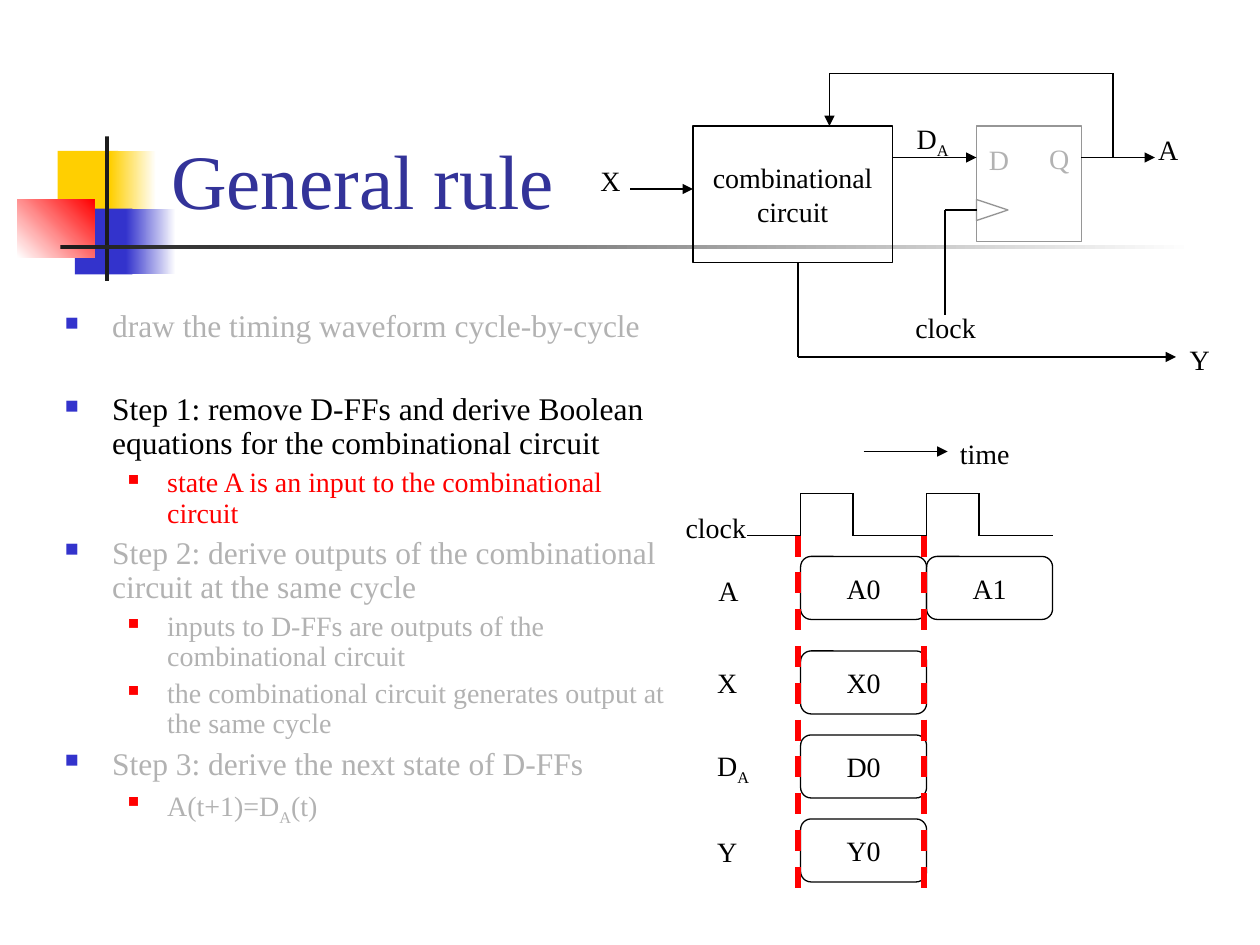
from lxml import etree
from pptx import Presentation
from pptx.dml.color import RGBColor
from pptx.enum.dml import MSO_LINE
from pptx.enum.shapes import MSO_CONNECTOR, MSO_SHAPE
from pptx.enum.text import MSO_ANCHOR, MSO_AUTO_SIZE, PP_ALIGN
from pptx.oxml.ns import qn
from pptx.util import Pt

EMU_PER_PX = 9525
FONT = "Times New Roman"
BLACK = RGBColor(0x00, 0x00, 0x00)
WHITE = RGBColor(0xFF, 0xFF, 0xFF)
RED = RGBColor(0xFF, 0x00, 0x00)
BLUE = RGBColor(0x33, 0x33, 0xCC)
YELLOW = RGBColor(0xFF, 0xCF, 0x01)
CHARCOAL = RGBColor(0x1C, 0x1C, 0x1C)
TITLE_BLUE = RGBColor(0x33, 0x33, 0x99)
FADED = RGBColor(0xB2, 0xB2, 0xB2)
GRAY_LINE = RGBColor(0x96, 0x96, 0x96)

RECTANGLE = MSO_SHAPE.RECTANGLE
ROUNDED = MSO_SHAPE.ROUNDED_RECTANGLE
TRIANGLE = MSO_SHAPE.ISOSCELES_TRIANGLE
STRAIGHT = MSO_CONNECTOR.STRAIGHT
DASH = MSO_LINE.DASH
TOP, MIDDLE, BOTTOM = MSO_ANCHOR.TOP, MSO_ANCHOR.MIDDLE, MSO_ANCHOR.BOTTOM
FIT_SHAPE, NO_FIT = MSO_AUTO_SIZE.SHAPE_TO_FIT_TEXT, MSO_AUTO_SIZE.NONE
CENTER = PP_ALIGN.CENTER

# Outline levels: formats of the paragraph and of its bullet
LEVELS = [
    {"size": 18, "before": 4.5, "margin": 36, "hang": 36, "color": BLUE, "bullet": 60},
    {"size": 16, "before": 4, "margin": 78, "hang": 30, "color": RED, "bullet": 55},
]

# Level, colour, text parts (every second part is a subscript)
OUTLINE = [
    (0, FADED, ["draw the timing waveform cycle-by-cycle"]),
    (0, BLACK, ["Step 1: remove D-FFs and derive Boolean equations "
                "for the combinational circuit"]),
    (1, RED, ["state A is an input to the combinational circuit"]),
    (0, FADED, ["Step 2: derive outputs of the combinational circuit at the same cycle"]),
    (1, FADED, ["inputs to D-FFs are outputs of the combinational circuit"]),
    (1, FADED, ["the combinational circuit generates output at the same cycle"]),
    (0, FADED, ["Step 3: derive the next state of D-FFs"]),
    (1, FADED, ["A(t+1)=D", "A", "(t)"]),
]
STEP_GAP = 28  # points between the introduction and step 1

# Timing diagram
CYCLE_LEFT, CYCLE, PULSE = 610, 96, 40
CLOCK_HIGH, CLOCK_LOW = 376, 408
SIGNALS = [  # label parts, label left and top, row top, values
    (["A"], 538, 432, 424, ["A0", "A1"]),
    (["X"], 537, 502, 496, ["X0"]),
    (["D", "A"], 537, 566, 560, ["D0"]),
    (["Y"], 537, 631, 624, ["Y0"]),
]


def px(*lengths):
    return [length * EMU_PER_PX for length in lengths]


def set_all(target, values):
    for name, value in values.items():
        setattr(target, name, value)


def add_runs(paragraph, parts, size, color):
    for index, part in enumerate(parts):
        run = paragraph.add_run()
        run.text = part
        set_all(run.font, {"name": FONT, "size": Pt(size)})
        run.font.color.rgb = color
        if index % 2:
            run.font._element.set("baseline", "-25000")


def add_text(slide, box, parts, size=16, color=BLACK, anchor=TOP, wrap=False, fit=FIT_SHAPE):
    frame = slide.shapes.add_textbox(*px(*box)).text_frame
    set_all(frame, {"word_wrap": wrap, "auto_size": fit, "vertical_anchor": anchor})
    add_runs(frame.paragraphs[0], parts, size, color)


def add_label(slide, left, top, parts, width=35):
    """Signal name; one with a subscript needs a larger box to stay on one line."""
    subscripted = len(parts) > 1
    add_text(slide, (left, top, 50 if subscripted else width, 39 if subscripted else 35), parts)


def add_block(slide, box, color, fade_to=None, angle=0):
    """Line-free rectangle, plain or fading into a second colour."""
    shape = slide.shapes.add_shape(RECTANGLE, *px(*box))
    shape.shadow.inherit = False
    shape.line.fill.background()
    if fade_to is None:
        shape.fill.solid()
        shape.fill.fore_color.rgb = color
        return
    shape.fill.gradient()
    shape.fill.gradient_angle = angle
    for stop, stop_color in zip(shape.fill.gradient_stops, (color, fade_to)):
        stop.color.rgb = stop_color


def add_outline_shape(slide, kind, box, lines=(), color=BLACK):
    """Unfilled shape with centred text lines."""
    shape = slide.shapes.add_shape(kind, *px(*box))
    shape.shadow.inherit = False
    shape.fill.background()
    shape.line.color.rgb = color
    shape.line.width = Pt(0.75)
    frame = shape.text_frame
    set_all(frame, {"word_wrap": False, "vertical_anchor": MIDDLE})
    for index, line in enumerate(lines):
        paragraph = frame.add_paragraph() if index else frame.paragraphs[0]
        paragraph.alignment = CENTER
        add_runs(paragraph, [line], 16, BLACK)
    return shape


def add_wire(slide, points, arrow=False, color=BLACK, width=0.75, dash=None):
    """Straight connectors through the points, with an optional final arrowhead."""
    for start, end in zip(points, points[1:]):
        wire = slide.shapes.add_connector(STRAIGHT, *px(*start, *end))
        wire.line.color.rgb = color
        set_all(wire.line, {"width": Pt(width), "dash_style": dash})
        etree.SubElement(wire._element.spPr, qn("a:effectLst"))
    if arrow:
        etree.SubElement(wire.line._get_or_add_ln(), qn("a:tailEnd"), type="triangle")


def add_bullet(paragraph, level):
    properties = paragraph._p.get_or_add_pPr()
    margin, hang = px(level["margin"], level["hang"])
    properties.set("marL", str(margin))
    properties.set("indent", str(-hang))
    color = etree.SubElement(properties, qn("a:buClr"))
    etree.SubElement(color, qn("a:srgbClr"), val=str(level["color"]))
    etree.SubElement(properties, qn("a:buSzPct"), val=str(level["bullet"] * 1000))
    etree.SubElement(properties, qn("a:buChar"), char="■")


def add_decoration(slide):
    add_block(slide, (44, 115, 46, 50), YELLOW)
    add_block(slide, (84, 115, 35, 50), YELLOW, WHITE)
    add_block(slide, (57, 159, 44, 50), BLUE)
    add_block(slide, (96, 159, 38, 50), BLUE, WHITE)
    add_block(slide, (13, 152, 59, 44), WHITE, RED, 45)
    add_block(slide, (80, 104, 3, 110), CHARCOAL)
    add_block(slide, (46, 187, 864, 3), CHARCOAL, WHITE)


def add_outline(slide):
    frame = slide.shapes.add_textbox(*px(40, 232, 488, 432)).text_frame
    set_all(frame, {"word_wrap": True, "auto_size": NO_FIT})
    for index, (depth, color, parts) in enumerate(OUTLINE):
        level = LEVELS[depth]
        paragraph = frame.add_paragraph() if index else frame.paragraphs[0]
        add_bullet(paragraph, level)
        set_all(paragraph, {"level": depth, "line_spacing": 0.9})
        if index:
            paragraph.space_before = Pt(STEP_GAP if index == 1 else level["before"])
        add_runs(paragraph, parts, level["size"], color)


def add_circuit(slide):
    add_outline_shape(slide, RECTANGLE, (528, 96, 152, 104), ["combinational", "circuit"])
    # Flip-flop
    add_outline_shape(slide, RECTANGLE, (744, 96, 80, 88), color=GRAY_LINE)
    add_outline_shape(slide, TRIANGLE, (748, 148, 16, 24), color=GRAY_LINE).rotation = 90
    add_text(slide, (744, 104, 35, 35), ["D"], color=FADED)
    add_text(slide, (790, 103, 35, 35), ["Q"], color=FADED)
    # Wires
    add_wire(slide, [(680, 120), (744, 120)], arrow=True)
    add_wire(slide, [(744, 160), (720, 160), (720, 240)])
    add_wire(slide, [(824, 120), (880, 120)], arrow=True)
    add_wire(slide, [(848, 120), (848, 56), (632, 56), (632, 96)], arrow=True)
    add_wire(slide, [(608, 200), (608, 272), (896, 272)], arrow=True)
    add_wire(slide, [(480, 144), (528, 144)], arrow=True)
    # Signal names
    add_label(slide, 688, 232, ["clock"], 65)
    add_label(slide, 873, 96, ["A"])
    add_label(slide, 689, 88, ["D", "A"])
    add_label(slide, 897, 256, ["Y"])
    add_label(slide, 448, 120, ["X"])


def add_timing(slide):
    add_wire(slide, [(658, 344), (722, 344)], arrow=True)
    add_label(slide, 722, 328, ["time"], 57)
    # Clock waveform
    add_label(slide, 513, 384, ["clock"], 65)
    points = [(569, CLOCK_LOW)]
    for left in (CYCLE_LEFT, CYCLE_LEFT + CYCLE):
        points += [(left, CLOCK_LOW), (left, CLOCK_HIGH),
                   (left + PULSE, CLOCK_HIGH), (left + PULSE, CLOCK_LOW)]
    add_wire(slide, points + [(CYCLE_LEFT + 2 * CYCLE, CLOCK_LOW)])
    # Signal values in each cycle
    for parts, label_left, label_top, top, values in SIGNALS:
        add_label(slide, label_left, label_top, parts)
        for index, value in enumerate(values):
            add_outline_shape(slide, ROUNDED, (CYCLE_LEFT + index * CYCLE, top, CYCLE, 48), [value])
    # Cycle boundaries
    for x in (608, 608 + CYCLE):
        add_wire(slide, [(x, CLOCK_LOW), (x, 680)], color=RED, width=3, dash=DASH)


def main():
    presentation = Presentation()
    presentation.slide_width, presentation.slide_height = px(960, 720)
    slide = presentation.slides.add_slide(presentation.slide_layouts[6])
    add_decoration(slide)
    add_text(slide, (121, 22, 818, 154), ["General rule"], 44, TITLE_BLUE, BOTTOM, True, NO_FIT)
    add_outline(slide)
    add_circuit(slide)
    add_timing(slide)
    presentation.save("out.pptx")


if __name__ == "__main__":
    main()
